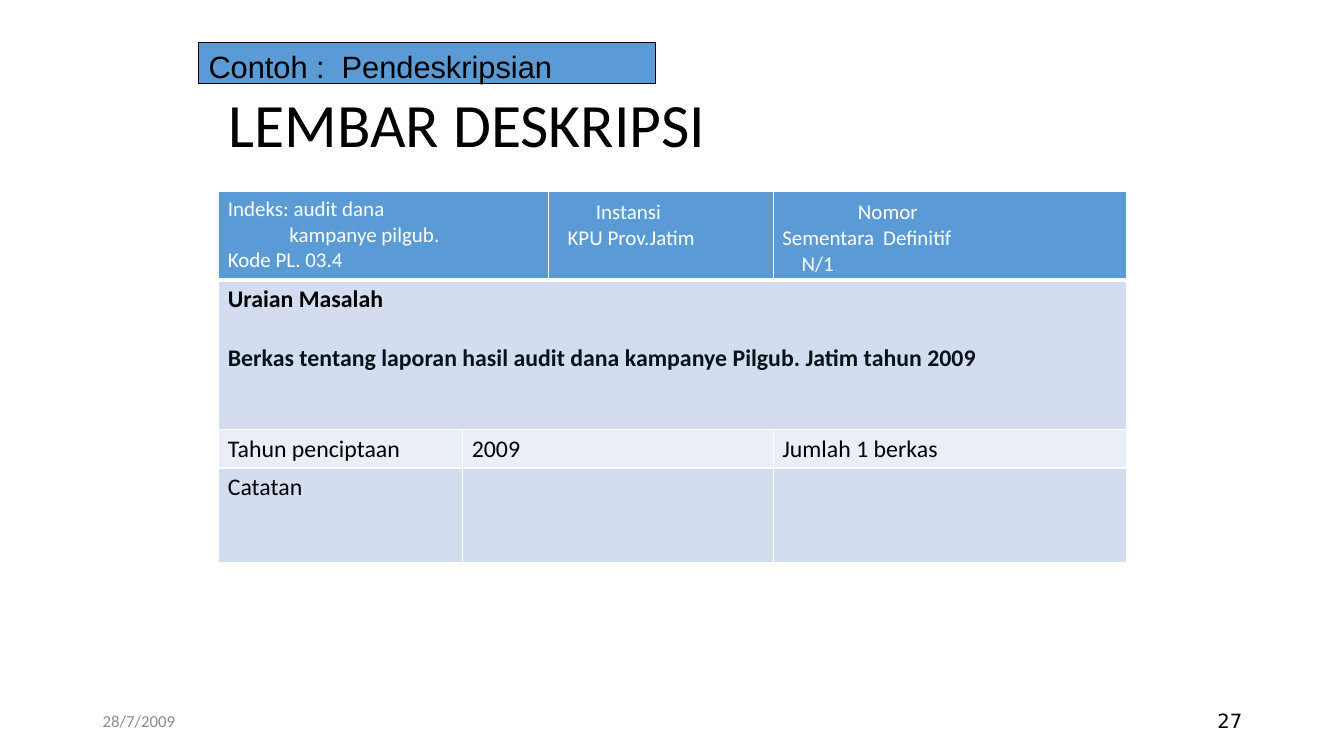
import pptx
import pptx.dml.color
import pptx.enum.shapes
import pptx.enum.text
import pptx.oxml.ns
import pptx.util
from lxml import etree

Inches, Pt = pptx.util.Inches, pptx.util.Pt
ANCHOR = pptx.enum.text.MSO_ANCHOR
ALIGN = pptx.enum.text.PP_ALIGN

BLUE, PALE, PALER = "5B9BD5", "D2DEEF", "EAEFF7"
BLACK, WHITE, NAVY, GREY = "000000", "FFFFFF", "09121B", "8C8C8C"

COLUMN_WIDTHS = [2.42, 0.85, 2.23, 3.5]
ROW_HEIGHTS = [0.88, 1.48, 0.38, 0.94]
ROW_FILLS = [BLUE, PALE, PALER, PALE]
MERGES = [(0, 0, 1), (1, 0, 3), (2, 1, 2), (3, 1, 2)]  # row, first and last column

# (row, column): lines as (text, left indent in inches)
HEADER_CELLS = {
    (0, 0): [("Indeks: audit dana", 0), ("kampanye pilgub.", 0.61), ("Kode PL. 03.4", 0)],
    (0, 2): [("Instansi", 0.38), ("KPU Prov.Jatim", 0.1)],
    (0, 3): [("Nomor", 0.75), ("Sementara\tDefinitif", 0), ("N/1", 0.19)],
}
BODY_CELLS = {
    (2, 0): "Tahun penciptaan",
    (2, 1): "2009",
    (2, 3): "Jumlah 1 berkas",
    (3, 0): "Catatan",
}


def rgb(color):
    return pptx.dml.color.RGBColor.from_string(color)


def format_text(paragraph, size, color, font="Calibri", bold=False):
    for run in paragraph.runs:
        run.font.size = Pt(size)
        run.font.name = font
        run.font.bold = bold
        run.font.color.rgb = rgb(color)


def add_text(slide, text, box, size, color, font="Calibri", align=ALIGN.LEFT):
    shape = slide.shapes.add_textbox(*map(Inches, box))
    frame = shape.text_frame
    frame.word_wrap = True
    frame.vertical_anchor = ANCHOR.MIDDLE
    frame.text = text
    paragraph = frame.paragraphs[0]
    paragraph.alignment = align
    format_text(paragraph, size, color, font)
    return paragraph


def add_label(slide, text, box):
    shape = slide.shapes.add_shape(
        pptx.enum.shapes.MSO_SHAPE.RECTANGLE, *map(Inches, box))
    shape.shadow.inherit = False
    shape.fill.solid()
    shape.fill.fore_color.rgb = rgb(BLUE)
    shape.line.color.rgb = rgb(BLACK)
    shape.line.width = Pt(0.75)
    frame = shape.text_frame
    frame.vertical_anchor = ANCHOR.TOP
    frame.text = text
    frame.paragraphs[0].alignment = ALIGN.LEFT
    format_text(frame.paragraphs[0], 22, BLACK, "Arial")


def indent(paragraph, inches):
    properties = paragraph._p.get_or_add_pPr()
    properties.set("marL", str(Inches(inches)))
    properties.set("indent", "0")


def add_tab_stop(paragraph, inches):
    properties = paragraph._p.get_or_add_pPr()
    stops = etree.SubElement(properties, pptx.oxml.ns.qn("a:tabLst"))
    etree.SubElement(stops, pptx.oxml.ns.qn("a:tab"), pos=str(Inches(inches)), algn="l")


def style_cell(cell, fill, bottom_width):
    """Draw white borders and fill the cell."""
    properties = cell._tc.get_or_add_tcPr()
    for side, width in zip("LRTB", (1, 1, 1, bottom_width)):
        line = etree.SubElement(properties, pptx.oxml.ns.qn("a:ln" + side), w=str(Pt(width)))
        solid = etree.SubElement(line, pptx.oxml.ns.qn("a:solidFill"))
        etree.SubElement(solid, pptx.oxml.ns.qn("a:srgbClr"), val=WHITE)
    cell.fill.solid()
    cell.fill.fore_color.rgb = rgb(fill)
    cell.margin_left = cell.margin_right = Inches(0.09)
    cell.margin_top = cell.margin_bottom = Inches(0.05)


def fill_header(table):
    for (row, column), lines in HEADER_CELLS.items():
        cell = table.cell(row, column)
        if column > 0:
            cell.margin_top = Inches(0.08)
            cell.margin_bottom = Inches(0.02)
        cell.text_frame.text = "\n".join(text for text, _ in lines)
        for paragraph, (text, left) in zip(cell.text_frame.paragraphs, lines):
            indent(paragraph, left)
            if "\t" in text:
                add_tab_stop(paragraph, 1.29)
            format_text(paragraph, 15, WHITE)


def fill_body(table):
    frame = table.cell(1, 0).text_frame
    frame.text = ("Uraian Masalah\n"
                  "Berkas tentang laporan hasil audit dana kampanye Pilgub. Jatim tahun 2009")
    heading, description = frame.paragraphs
    format_text(heading, 17, BLACK, bold=True)
    format_text(description, 17, NAVY, bold=True)
    description.space_before = Pt(20.75)
    for position, text in BODY_CELLS.items():
        frame = table.cell(*position).text_frame
        frame.text = text
        format_text(frame.paragraphs[0], 17, BLACK)


def add_description_table(slide, left, top):
    table = slide.shapes.add_table(
        len(ROW_HEIGHTS), len(COLUMN_WIDTHS), Inches(left), Inches(top),
        Inches(sum(COLUMN_WIDTHS)), Inches(sum(ROW_HEIGHTS))).table
    for column, width in zip(table.columns, COLUMN_WIDTHS):
        column.width = Inches(width)
    for index, (row, height) in enumerate(zip(table.rows, ROW_HEIGHTS)):
        row.height = Inches(height)
        for cell in row.cells:
            style_cell(cell, ROW_FILLS[index], 3 if index == 0 else 1)
    for row, first, last in MERGES:
        table.cell(row, first).merge(table.cell(row, last))
    fill_header(table)
    fill_body(table)


def main():
    presentation = pptx.Presentation()
    presentation.slide_width = Inches(13.33)
    presentation.slide_height = Inches(7.5)
    slide = presentation.slides.add_slide(presentation.slide_layouts[6])

    title = add_text(slide, "LEMBAR DESKRIPSI", (2.17, 0.85, 9, 0.84), 44, BLACK)
    title.line_spacing = 0.9
    add_description_table(slide, 2.17, 1.9)
    add_text(slide, "28/7/2009", (0.92, 6.95, 3, 0.4), 12, GREY)
    add_text(slide, "27", (9.42, 6.95, 3, 0.4), 14, BLACK, "DejaVu Sans", ALIGN.RIGHT)
    add_label(slide, "Contoh :  Pendeskripsian", (1.97, 0.42, 4.53, 0.41))

    presentation.save("out.pptx")


if __name__ == "__main__":
    main()
